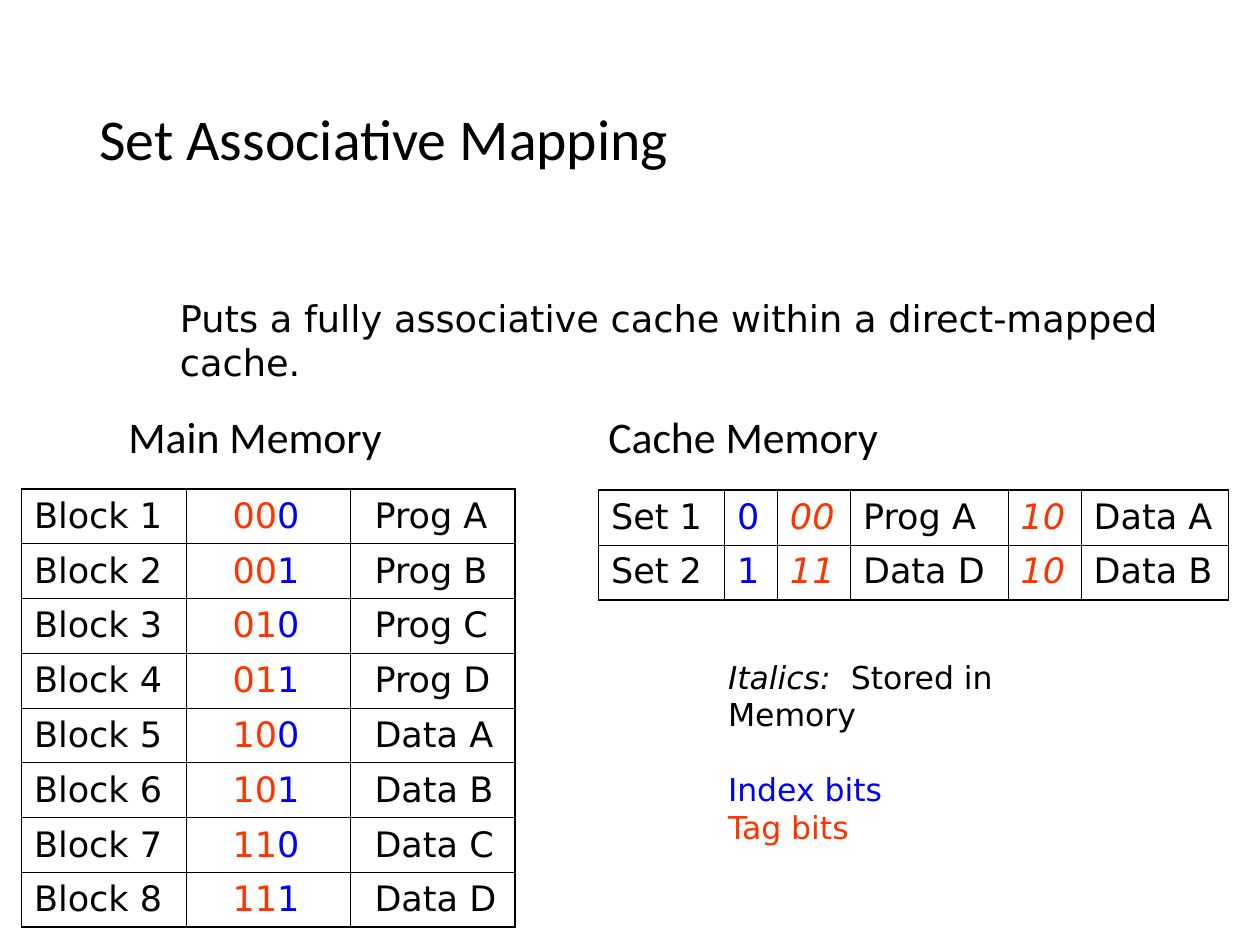
from dataclasses import dataclass

from lxml import etree
from pptx import Presentation
from pptx.dml.color import RGBColor
from pptx.enum import text
from pptx.oxml import ns
from pptx.util import Inches, Pt


@dataclass(frozen=True)
class Theme:
    ink: str = "000000"
    tag: str = "FF3300"
    index: str = "0000FF"
    heading_font: str = "Calibri"
    body_font: str = "DejaVu Sans"
    title_size: int = 33
    heading_size: int = 25
    summary_size: int = 21
    cell_size: int = 20
    legend_size: int = 18
    outer_line: float = 1.08
    inner_line: float = 0.45


THEME = Theme()


def ink(words, italic=False):
    return words, THEME.ink, italic


def tag(bits, italic=False):
    return bits, THEME.tag, italic


def index(bits):
    return bits, THEME.index, False


def write(paragraph, runs, font, size):
    paragraph.font.name = font
    paragraph.font.size = Pt(size)
    for words, color, italic in runs:
        run = paragraph.add_run()
        run.text = words
        run.font.color.rgb = RGBColor.from_string(color)
        run.font.italic = italic


def add_frame(slide, box):
    frame = slide.shapes.add_textbox(*map(Inches, box)).text_frame
    frame.word_wrap = True
    return frame


def add_title(slide, box):
    frame = add_frame(slide, box)
    frame.vertical_anchor = text.MSO_ANCHOR.MIDDLE
    title = frame.paragraphs[0]
    title.line_spacing = 0.9
    write(title, [ink("Set Associative Mapping")], THEME.heading_font, THEME.title_size)


def add_summary(slide, box):
    summary = add_frame(slide, box).paragraphs[0]
    write(summary,
          [ink("Puts a fully associative cache within a direct-mapped cache.")],
          THEME.body_font, THEME.summary_size)


def add_table_headings(slide, box, cache_offset):
    headings = add_frame(slide, box).paragraphs[0]
    headings.line_spacing = 0.9
    # One tab stop places the second heading above the cache table
    stops = etree.SubElement(headings._p.get_or_add_pPr(), ns.qn("a:tabLst"))
    etree.SubElement(stops, ns.qn("a:tab"), pos=str(Inches(cache_offset)), algn="l")
    write(headings, [ink("Main Memory\tCache Memory")],
          THEME.heading_font, THEME.heading_size)


def set_borders(cell, outer_sides):
    properties = cell._tc.get_or_add_tcPr()
    for place, side in enumerate("LRTB"):
        width = THEME.outer_line if side in outer_sides else THEME.inner_line
        line = etree.Element(ns.qn(f"a:ln{side}"), w=str(Pt(width)))
        fill = etree.SubElement(line, ns.qn("a:solidFill"))
        etree.SubElement(fill, ns.qn("a:srgbClr"), val=THEME.ink)
        properties.insert(place, line)


def add_memory_table(slide, box, rows, widths, indents, anchor):
    row_count, column_count = len(rows), len(widths)
    table = slide.shapes.add_table(row_count, column_count, *map(Inches, box)).table
    table.first_row = table.horz_banding = False
    for column, width in zip(table.columns, widths):
        column.width = Inches(width)
    for r, row in enumerate(rows):
        table.rows[r].height = Inches(box[3] / row_count)
        for c, runs in enumerate(row):
            cell = table.cell(r, c)
            cell.fill.background()
            cell.vertical_anchor = anchor
            cell.margin_left = Inches(indents[c])
            cell.margin_right = Inches(0.1)
            cell.margin_top = cell.margin_bottom = Inches(0.05)
            write(cell.text_frame.paragraphs[0], runs, THEME.body_font, THEME.cell_size)
            edges = {"L": c == 0, "R": c == column_count - 1,
                     "T": r == 0, "B": r == row_count - 1}
            set_borders(cell, {side for side, is_outer in edges.items() if is_outer})


def add_main_memory(slide, box):
    contents = [f"{kind} {letter}" for kind in ("Prog", "Data") for letter in "ABCD"]
    rows = []
    for number, content in enumerate(contents):
        address = f"{number:03b}"
        rows.append([[ink(f"Block {number + 1}")],
                     [tag(address[:2]), index(address[2])],
                     [ink(content)]])
    add_memory_table(slide, box, rows, [box[2] / 3] * 3, [0.1, 0.37, 0.19],
                     text.MSO_ANCHOR.MIDDLE)


def add_cache_memory(slide, box):
    sets = [("Set 1", "0", "00", "Prog A", "10", "Data A"),
            ("Set 2", "1", "11", "Data D", "10", "Data B")]
    rows = [[[ink(name)], [index(bit)],
             [tag(first_tag, True)], [ink(first_data)],
             [tag(second_tag, True)], [ink(second_data)]]
            for name, bit, first_tag, first_data, second_tag, second_data in sets]
    add_memory_table(slide, box, rows, [1, 0.42, 0.58, 1.25, 0.58, 1.17], [0.1] * 6,
                     text.MSO_ANCHOR.TOP)


def add_legend(slide, box):
    frame = add_frame(slide, box)
    entries = [[ink("Italics:  ", True), ink("Stored in Memory")],
               [index("Index bits")],
               [tag("Tag bits")]]
    for number, runs in enumerate(entries):
        entry = frame.add_paragraph() if number else frame.paragraphs[0]
        # The colour key stands one line below the note on italics
        if number == 1:
            entry.space_before = Pt(21)
        write(entry, runs, THEME.body_font, THEME.legend_size)


def main():
    deck = Presentation()
    deck.slide_width, deck.slide_height = Inches(10), Inches(7.5)
    slide = deck.slides.add_slide(deck.slide_layouts[6])

    # Title and summary
    add_title(slide, (0.69, 0.4, 8.63, 1.45))
    add_summary(slide, (1.33, 2.3, 8.32, 0.8))

    # Memory tables under their headings
    add_table_headings(slide, (0.92, 3.25, 8.17, 0.5), cache_offset=3.81)
    add_main_memory(slide, (0.17, 3.88, 3.92, 3.48))
    add_cache_memory(slide, (4.75, 3.89, 5, 0.87))

    # Key to the bits
    add_legend(slide, (5.68, 5.17, 3.16, 1.3))

    deck.save("out.pptx")


if __name__ == "__main__":
    main()
